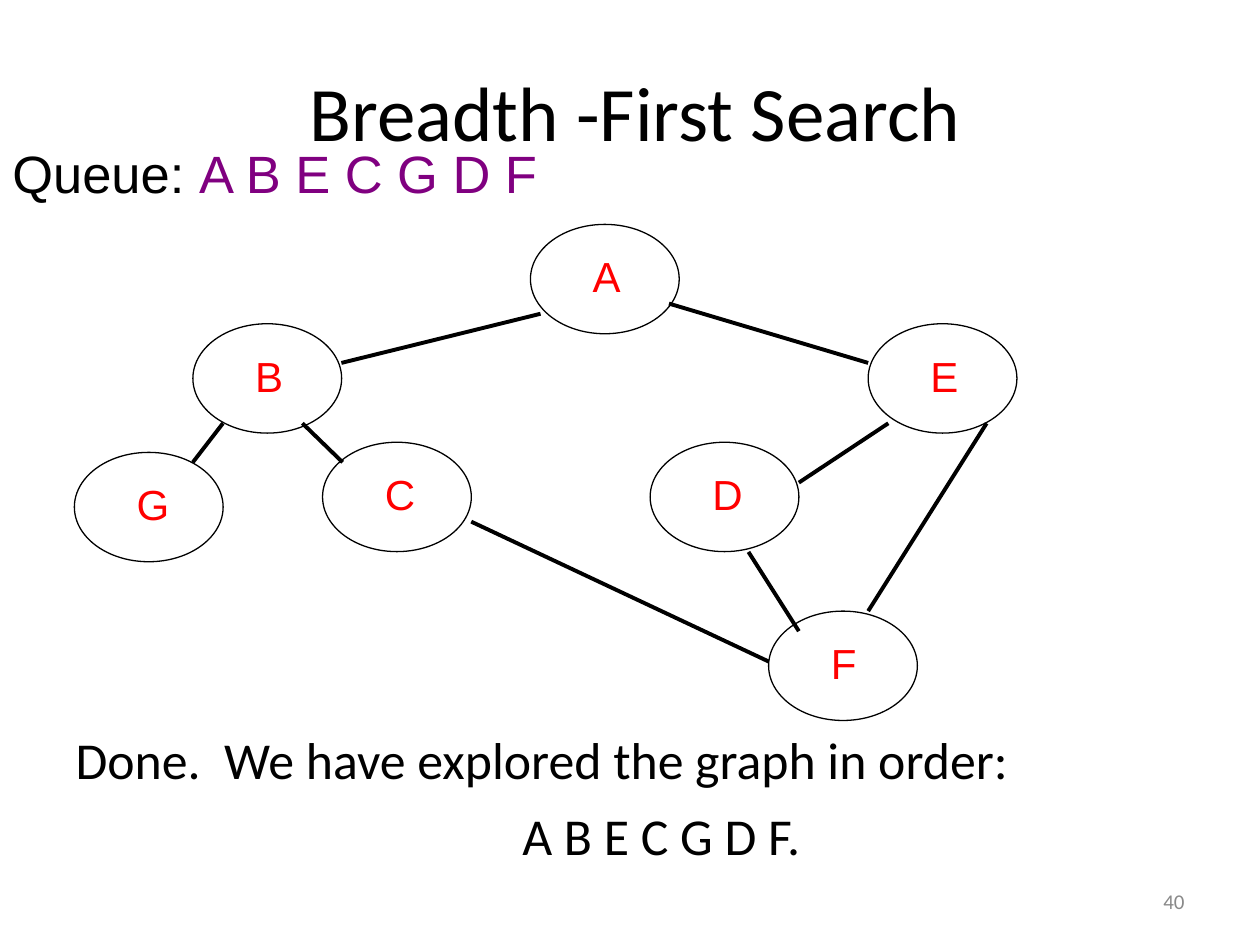
import dataclasses
import typing

import pptx
import pptx.dml.color
import pptx.enum.shapes
import pptx.enum.text
import pptx.oxml.ns
import pptx.util
from lxml import etree

Pt = pptx.util.Pt
RGBColor = pptx.dml.color.RGBColor
ALIGN = pptx.enum.text.PP_ALIGN
ANCHOR = pptx.enum.text.MSO_ANCHOR
qn = pptx.oxml.ns.qn

BLACK = RGBColor(0x00, 0x00, 0x00)
RED = RGBColor(0xFF, 0x00, 0x00)
PURPLE = RGBColor(0x80, 0x00, 0x80)
GRAY = RGBColor(0x89, 0x89, 0x89)

NODES = {
    "A": (303.1, 128.2),
    "B": (110.2, 185),
    "G": (42.5, 258.5),
    "C": (184.3, 252.7),
    "E": (496.1, 185),
    "D": (371.5, 252.7),
    "F": (439.2, 349.2),
}
EDGES = [
    (308.9, 179.3, 195.1, 207.4),
    (382.3, 173.5, 496.1, 207.4),
    (563.8, 241.9, 496.1, 349.2),
    (507.6, 241.9, 456.5, 275.8),
    (427.7, 315.4, 456.5, 360.7),
    (439.2, 378, 269.3, 298.1),
    (172.8, 241.9, 195.8, 264.2),
    (127.4, 241.9, 110.2, 264.2),
]


def write(frame, *lines, size, font, color=BLACK, align=ALIGN.LEFT,
          anchor=ANCHOR.TOP, hang=0, gap=0):
    frame.word_wrap = True
    frame.auto_size = pptx.enum.text.MSO_AUTO_SIZE.NONE
    frame.vertical_anchor = anchor
    for num, line in enumerate(lines):
        para = frame.add_paragraph() if num else frame.paragraphs[0]
        props = para._p.get_or_add_pPr()
        props.set("marL", str(Pt(hang)))
        props.set("indent", str(-Pt(hang)))
        etree.SubElement(props, qn("a:buNone"))
        para.alignment = align
        para.space_before = Pt(gap if num else 0)
        for text, tint in [(line, color)] if isinstance(line, str) else line:
            run = para.add_run()
            run.text = text
            run.font.size = Pt(size)
            run.font.name = font
            run.font.color.rgb = tint
    return frame


@dataclasses.dataclass
class Board:
    slide: typing.Any
    sans: str = "Arial"
    main: str = "Calibri"
    wide: float = 85
    high: float = 62.5

    def holder(self, index, box, *lines, **form):
        shape = self.slide.placeholders[index]
        shape.left, shape.top, shape.width, shape.height = map(Pt, box)
        return write(shape.text_frame, *lines, font=self.main, **form)

    def text(self, box, *lines, home=None, **form):
        shapes = (home or self.slide).shapes
        return write(shapes.add_textbox(*map(Pt, box)).text_frame, *lines, **form)

    def node(self, name, left, top):
        group = self.slide.shapes.add_group_shape()
        oval = group.shapes.add_shape(
            pptx.enum.shapes.MSO_SHAPE.OVAL,
            Pt(left), Pt(top), Pt(self.wide), Pt(self.high))
        oval.shadow.inherit = False
        oval.fill.background()
        oval.line.color.rgb = BLACK
        oval.line.width = Pt(0.75)
        self.text((left + 28.5, top + 11.5, 34, 36), name, home=group,
                  size=24, font=self.sans, color=RED)

    def edge(self, *ends):
        line = self.slide.shapes.add_connector(
            pptx.enum.shapes.MSO_CONNECTOR.STRAIGHT, *map(Pt, ends))
        line.line.color.rgb = BLACK
        line.line.width = Pt(2.25)
        etree.SubElement(line._element.spPr, qn("a:effectLst"))


def main():
    deck = pptx.Presentation()
    deck.slide_width, deck.slide_height = Pt(720), Pt(540)
    board = Board(deck.slides.add_slide(deck.slide_layouts[1]))
    board.holder(0, (36, 30, 654, 66), "Breadth -First Search",
                 size=44, align=ALIGN.CENTER, anchor=ANCHOR.MIDDLE)
    body = board.holder(1, (36, 412, 684, 91),
                        "Done.  We have explored the graph in order:",
                        "A B E C G D F.", size=29.6, hang=27, gap=8)
    body.paragraphs[1].alignment = ALIGN.CENTER
    for name, spot in NODES.items():
        board.node(name, *spot)
    for ends in EDGES:
        board.edge(*ends)
    board.text((0, 77, 648, 71),
               [("Queue: ", BLACK), ("A B E C G D F", PURPLE)],
               size=30, font=board.sans, hang=27)
    board.text((516, 500.5, 168, 29), "40", size=12, font=board.main,
               color=GRAY, align=ALIGN.RIGHT, anchor=ANCHOR.MIDDLE)
    deck.save("out.pptx")


if __name__ == "__main__":
    main()
